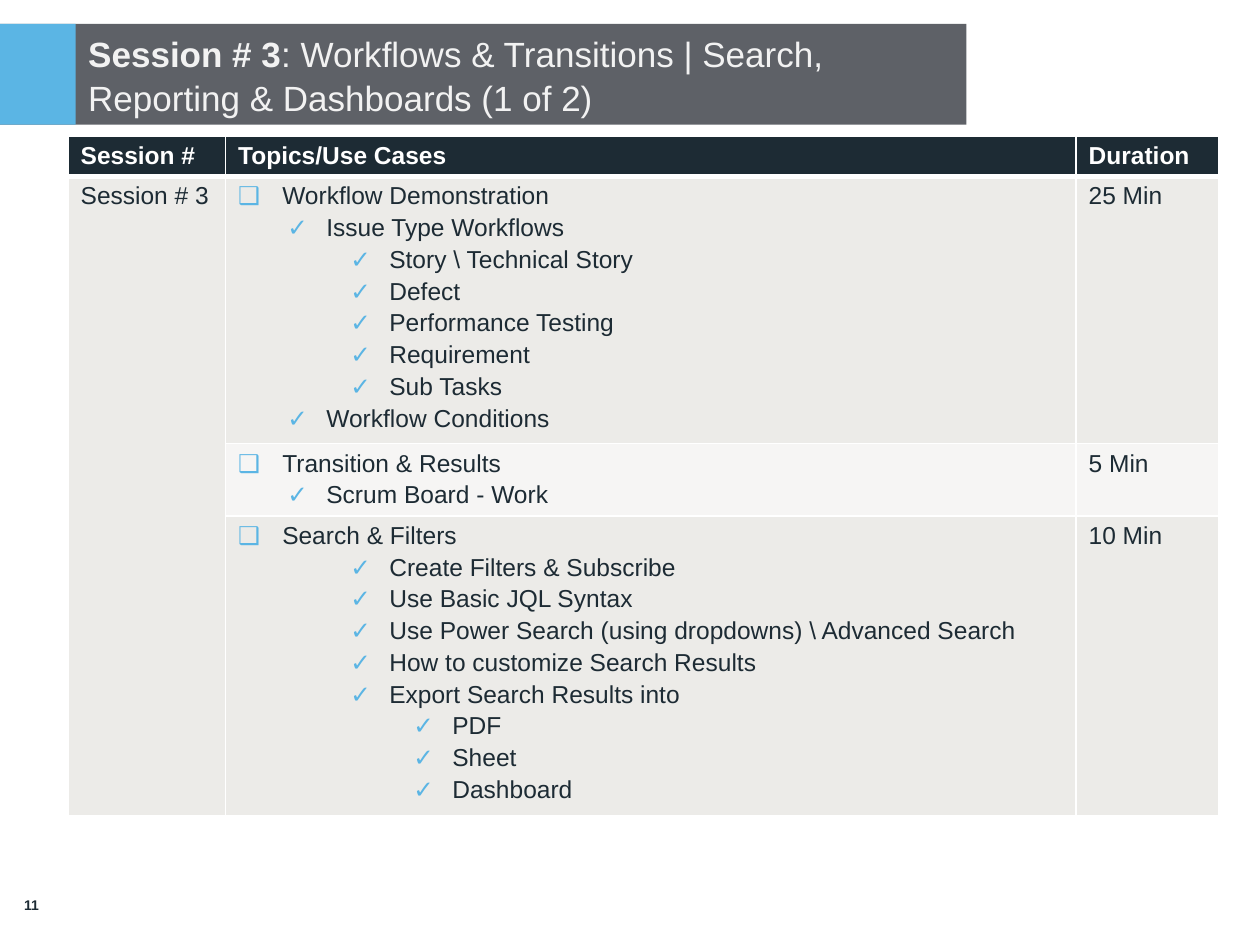
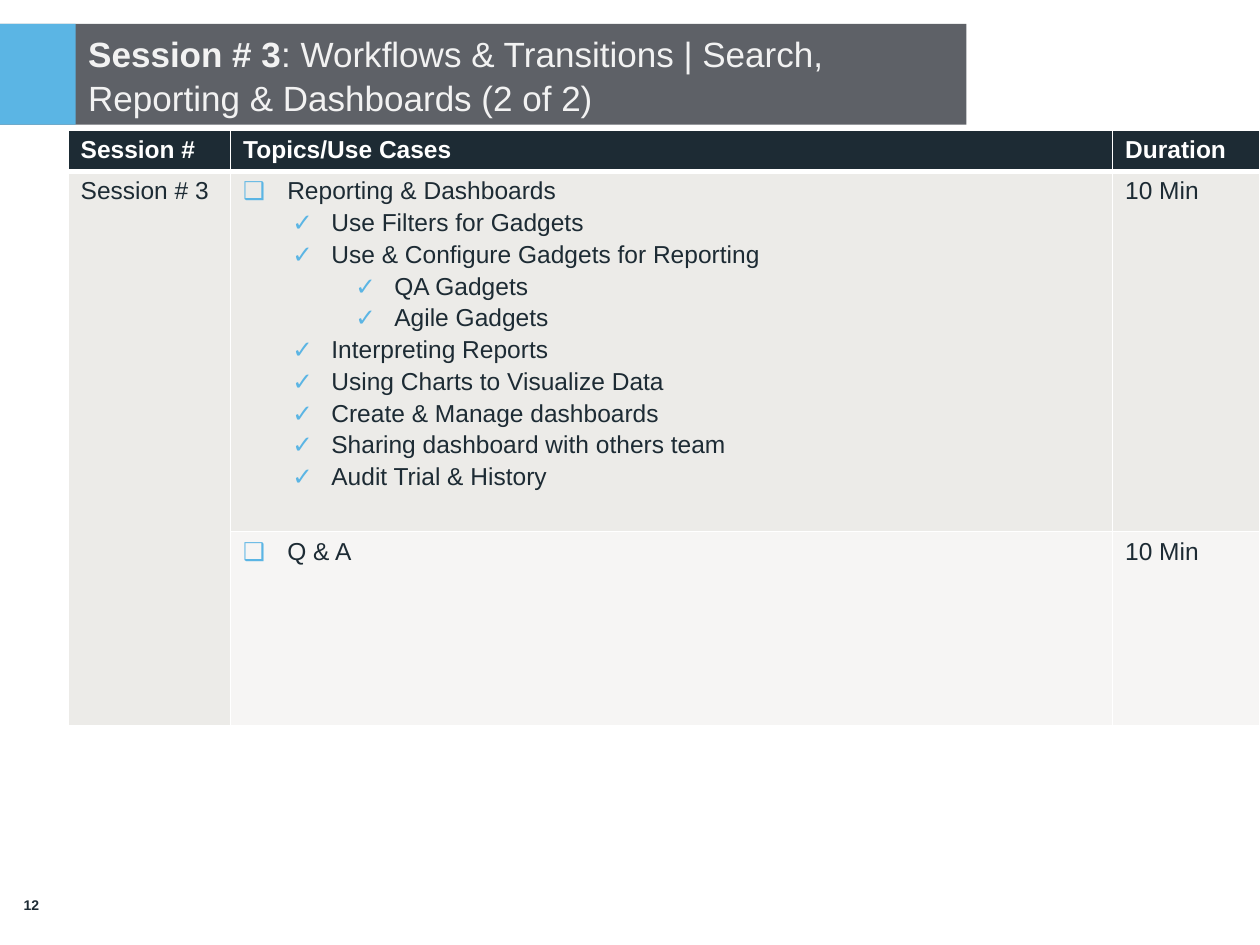
"""Build the two agenda slides of training session 3."""
from dataclasses import dataclass

from lxml import etree
from pptx import Presentation
from pptx.dml.color import RGBColor
from pptx.enum.shapes import MSO_SHAPE
from pptx.enum.text import MSO_ANCHOR, MSO_AUTO_SIZE, PP_ALIGN
from pptx.oxml.ns import qn
from pptx.util import Emu, Inches, Pt

RECTANGLE = MSO_SHAPE.RECTANGLE
MIDDLE = MSO_ANCHOR.MIDDLE
NO_FIT = MSO_AUTO_SIZE.NONE
LEFT, CENTER = PP_ALIGN.LEFT, PP_ALIGN.CENTER
SLIDE_WIDTH, SLIDE_HEIGHT = Inches(10), Inches(7.5)
GRID_COLUMNS, GRID_ROWS = 100, 75
TITLE_ONLY = 5

FONT = "Arial"
INK, WHITE, SKY, SLATE = "1D2B34", "FFFFFF", "5BB5E4", "5E6167"
TITLE_COLOR = "F2F2F2"
STRIPES = ("ECEBE8", "F6F5F4")
HEADINGS = ("Session #", "Topics/Use Cases", "Duration")
SESSION = "Session # 3"
SUBJECT = ": Workflows & Transitions | Search, Reporting & Dashboards"
BULLETS = ("\u2751", "\u2713", "\u2713", "\u2713")
INDENTS = ((3.5, 3.5), (7, 3.1), (12, 3.1), (17, 3.1))
THIN, THICK = 1, 3


@dataclass(frozen=True)
class Box:
    """A rectangle in grid columns and rows."""
    left: float
    top: float
    width: float
    height: float

    def place(self) -> tuple[Emu, Emu, Emu, Emu]:
        """Return left, top, width and height as lengths."""
        return across(self.left), down(self.top), across(self.width), down(self.height)


@dataclass(frozen=True)
class Block:
    """One table row: leveled topics, their duration and the row height."""
    topics: tuple[tuple[int, str], ...]
    duration: str
    height: float


@dataclass(frozen=True)
class Agenda:
    """The content of one slide."""
    position: int
    number: int
    top: float
    columns: tuple[float, ...]
    header_height: float
    blocks: tuple[Block, ...]


BAND = Box(0, 1.9, 76.7, 8)
TAB = Box(0, 1.9, 6, 8)
TITLE = Box(TAB.width, 1.9, BAND.width - TAB.width, 8)
NUMBER = Box(0, 68.6, 5, 6.4)
TABLE_LEFT = 5.4

AGENDAS = (
    Agenda(1, 11, 10.8, (12.5, 67.5, 11.3), 3.2, (
        Block(((0, "Workflow Demonstration"),
               (1, "Issue Type Workflows"),
               (2, "Story \\ Technical Story"),
               (2, "Defect"),
               (2, "Performance Testing"),
               (2, "Requirement"),
               (2, "Sub Tasks"),
               (1, "Workflow Conditions")), "25 Min", 21.2),
        Block(((0, "Transition & Results"),
               (1, "Scrum Board - Work")), "5 Min", 5.75),
        Block(((0, "Search & Filters"),
               (2, "Create Filters & Subscribe"),
               (2, "Use Basic JQL Syntax"),
               (2, "Use Power Search (using dropdowns) \\ Advanced Search"),
               (2, "How to customize Search Results"),
               (2, "Export Search Results into"),
               (3, "PDF"),
               (3, "Sheet"),
               (3, "Dashboard")), "10 Min", 23.8))),
    Agenda(2, 12, 10.3, (12.9, 70, 11.7), 3.3, (
        Block(((0, "Reporting & Dashboards"),
               (1, "Use Filters for Gadgets"),
               (1, "Use & Configure Gadgets for Reporting"),
               (2, "QA Gadgets"),
               (2, "Agile Gadgets"),
               (1, "Interpreting Reports"),
               (1, "Using Charts to Visualize Data"),
               (1, "Create & Manage dashboards"),
               (1, "Sharing dashboard with others team"),
               (1, "Audit Trial & History")), "10 Min", 28.6),
        Block(((0, "Q & A"),), "10 Min", 15.4))),
)


def across(columns: float) -> Emu:
    """Convert grid columns to a length."""
    return Emu(round(SLIDE_WIDTH * columns / GRID_COLUMNS))


def down(rows: float) -> Emu:
    """Convert grid rows to a length."""
    return Emu(round(SLIDE_HEIGHT * rows / GRID_ROWS))


def color(code: str) -> RGBColor:
    """Turn a hex string into a colour."""
    return RGBColor.from_string(code)


def apply(target, formats: dict) -> None:
    """Set attributes from a dict of format values."""
    for name, value in formats.items():
        setattr(target, name, value)


def paint(target, code: str) -> None:
    """Fill a shape or cell with one colour."""
    target.fill.solid()
    target.fill.fore_color.rgb = color(code)


def add_span(para, text: str, size: float, code: str, bold: bool = False) -> None:
    """Append a formatted run to a paragraph."""
    span = para.add_run()
    span.text = text
    apply(span.font, {"name": FONT, "size": Pt(size), "bold": bold})
    span.font.color.rgb = color(code)


def add_child(parent, tag: str, **attributes: str):
    """Append an XML element with its attributes."""
    child = etree.SubElement(parent, qn(tag))
    for name, value in attributes.items():
        child.set(name, value)
    return child


def add_bands(page) -> None:
    """Draw the title bands and hand them to the slide master."""
    master = page.slide_layout.slide_master
    for index, (box, code) in enumerate(((BAND, SLATE), (TAB, SKY))):
        band = page.shapes.add_shape(RECTANGLE, *box.place())
        band.shadow.inherit = False
        band.line.fill.background()
        paint(band, code)
        band._element.nvSpPr.cNvPr.set("id", str(100 + index))
        master.shapes._spTree.append(band._element)


def add_title(page, position: int) -> None:
    """Fill and format the title placeholder."""
    title = page.shapes.title
    apply(title, dict(zip(("left", "top", "width", "height"), TITLE.place())))
    apply(title.text_frame, {
        "word_wrap": True, "auto_size": NO_FIT, "vertical_anchor": MIDDLE,
        "margin_left": across(1), "margin_right": across(1),
        "margin_top": down(0.1), "margin_bottom": down(0.1)})
    para = title.text_frame.paragraphs[0]
    apply(para, {"alignment": LEFT, "line_spacing": 1.05})
    add_span(para, SESSION, 20, TITLE_COLOR, True)
    add_span(para, f"{SUBJECT} ({position} of {len(AGENDAS)})", 20, TITLE_COLOR)


def add_number(page, number: int) -> None:
    """Write the page number in the lower left corner."""
    box = page.shapes.add_textbox(*NUMBER.place())
    apply(box.text_frame, {"word_wrap": True, "vertical_anchor": MIDDLE})
    para = box.text_frame.paragraphs[0]
    para.alignment = CENTER
    add_span(para, str(number), 8, INK, True)


def style_cell(cell, code: str, top: float, bottom: float) -> None:
    """Give a cell white borders and a fill."""
    properties = cell._tc.get_or_add_tcPr()
    for side, width in zip("LRTB", (THIN, THIN, top, bottom)):
        line = add_child(properties, f"a:ln{side}", w=str(Pt(width)))
        add_child(add_child(line, "a:solidFill"), "a:srgbClr", val=WHITE)
    paint(cell, code)


def write_topics(cell, topics: tuple[tuple[int, str], ...]) -> None:
    """Write a bulleted outline into a cell."""
    for index, (level, text) in enumerate(topics):
        para = cell.text_frame.add_paragraph() if index else cell.text_frame.paragraphs[0]
        apply(para, {"level": level, "space_before": Pt(2.4 if index else 0)})
        properties = para._p.get_or_add_pPr()
        margin, hanging = INDENTS[level]
        properties.set("marL", str(across(margin)))
        properties.set("indent", str(-across(hanging)))
        add_child(add_child(properties, "a:buClr"), "a:srgbClr", val=SKY)
        add_child(properties, "a:buFont", typeface=FONT)
        add_child(properties, "a:buChar", char=BULLETS[level])
        add_span(para, text, 14, INK)


def add_agenda_table(page, agenda: Agenda) -> None:
    """Draw the table of topics and durations."""
    heights = (agenda.header_height, *(block.height for block in agenda.blocks))
    box = Box(TABLE_LEFT, agenda.top, sum(agenda.columns), sum(heights))
    table = page.shapes.add_table(len(heights), len(HEADINGS), *box.place()).table
    table.horz_banding = False
    for column, width in zip(table.columns, agenda.columns):
        column.width = across(width)
    for row, height in zip(table.rows, heights):
        row.height = down(height)
    for cell, heading in zip(table.rows[0].cells, HEADINGS):
        style_cell(cell, INK, THIN, THICK)
        add_span(cell.text_frame.paragraphs[0], heading, 14, WHITE, True)
    for index, block in enumerate(agenda.blocks):
        session, topics, duration = table.rows[index + 1].cells
        stripe = STRIPES[index % len(STRIPES)]
        top = THIN if index else THICK
        for cell, code in ((session, STRIPES[0]), (topics, stripe), (duration, stripe)):
            style_cell(cell, code, top, THIN)
        write_topics(topics, block.topics)
        add_span(duration.text_frame.paragraphs[0], block.duration, 14, INK)
    first = table.cell(1, 0)
    first.merge(table.cell(len(agenda.blocks), 0))
    add_span(first.text_frame.paragraphs[0], SESSION, 14, INK)


def main() -> None:
    """Build and save the deck."""
    deck = Presentation()
    apply(deck, {"slide_width": SLIDE_WIDTH, "slide_height": SLIDE_HEIGHT})
    for index, agenda in enumerate(AGENDAS):
        page = deck.slides.add_slide(deck.slide_layouts[TITLE_ONLY])
        if index == 0:
            add_bands(page)
        add_title(page, agenda.position)
        add_agenda_table(page, agenda)
        add_number(page, agenda.number)
    deck.save("out.pptx")


main()
